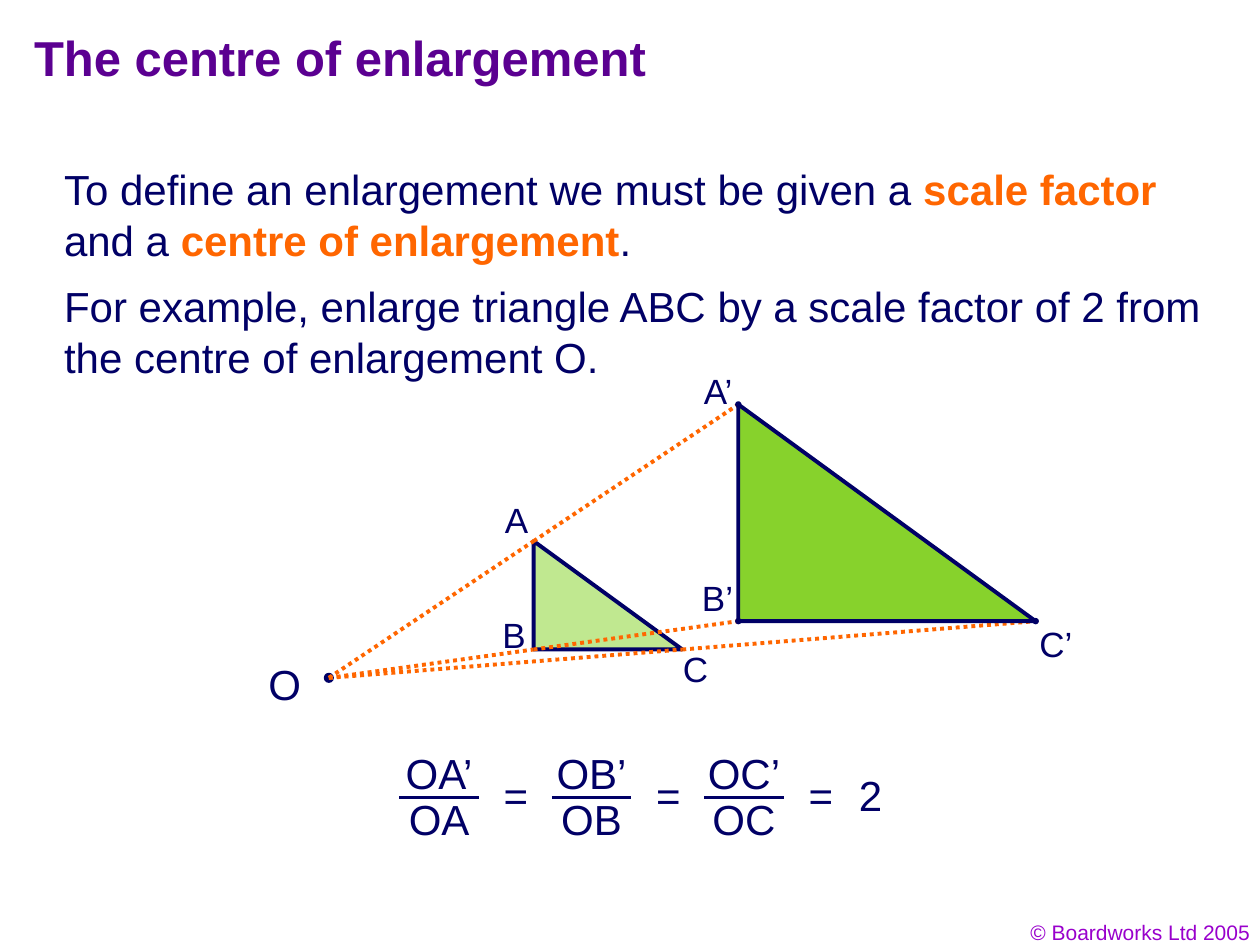
from dataclasses import dataclass

from lxml import etree
from pptx import Presentation
from pptx import util as u
from pptx.dml.color import RGBColor
from pptx.enum import dml, shapes, text
from pptx.oxml.ns import qn

COLOURS = {
    "title": "5B0091", "text": "010066", "outline": "000066", "accent": "FF6600",
    "object": "C0E890", "image": "87D22C", "footer": "9900CC",
}
FONT = "Arial"
COLUMNS, ROWS = 100, 75
SCALE_FACTOR = 2

presentation = Presentation()
presentation.slide_width, presentation.slide_height = u.Inches(10), u.Inches(7.5)
slide = presentation.slides.add_slide(presentation.slide_layouts[5])


@dataclass
class Point:
    """A place on the grid, in columns and rows."""
    x: float
    y: float


@dataclass
class Vertex:
    name: str
    place: Point
    label: Point  # centre of the name
    image_label: Point  # centre of the primed name


def column(count: float) -> int:
    return round(presentation.slide_width * count / COLUMNS)


def row(count: float) -> int:
    return round(presentation.slide_height * count / ROWS)


def colour(name: str) -> RGBColor:
    return RGBColor.from_string(COLOURS[name])


def format_run(run, size: float, name: str, bold: bool = False) -> None:
    run.font.name, run.font.size, run.font.bold = FONT, u.Pt(size), bold
    run.font.color.rgb = colour(name)


def add_text(left: float, top: float, width: float, height: float,
             parts: list[str], size: float, name: str = "text",
             align=text.PP_ALIGN.LEFT, wrap: bool = True) -> None:
    """Add a text box; every second part is bold in the accent colour."""
    box = slide.shapes.add_textbox(column(left), row(top), column(width), row(height))
    box.text_frame.word_wrap = wrap
    paragraph = box.text_frame.paragraphs[0]
    paragraph.alignment = align
    for index, part in enumerate(parts):
        run = paragraph.add_run()
        run.text = part
        strong = index % 2 == 1
        format_run(run, size, "accent" if strong else name, strong)


def add_label(wording: str, centre: Point, size: float = 24) -> None:
    width, height = 10, 5 if size == 24 else 4.4
    add_text(centre.x - width / 2, centre.y - height / 2, width, height,
             [wording], size, align=text.PP_ALIGN.CENTER, wrap=False)


def add_line(start: Point, end: Point, name: str, width: float, dash=None) -> None:
    line = slide.shapes.add_connector(
        shapes.MSO_CONNECTOR.STRAIGHT,
        column(start.x), row(start.y), column(end.x), row(end.y))
    line.line.color.rgb, line.line.width = colour(name), u.Pt(width)
    if dash:
        line.line.dash_style = dash
    etree.SubElement(line._element.spPr, qn("a:effectLst"))


def add_figure(kind, left: float, top: float, width: float, height: float,
               fill: str, line_width: float) -> None:
    figure = slide.shapes.add_shape(
        kind, column(left), row(top), column(width), row(height))
    figure.shadow.inherit = False
    figure.fill.solid()
    figure.fill.fore_color.rgb = colour(fill)
    figure.line.color.rgb, figure.line.width = colour("outline"), u.Pt(line_width)


def add_triangle(a: Point, b: Point, c: Point, fill: str) -> None:
    add_figure(shapes.MSO_SHAPE.RIGHT_TRIANGLE, a.x, a.y, c.x - b.x, b.y - a.y, fill, 2.25)


def add_dot(centre: Point, size: float) -> None:
    add_figure(shapes.MSO_SHAPE.OVAL, centre.x - size / 2, centre.y - size / 2,
               size, size, "outline", 0.75)


def add_fraction(top: str, bottom: str, centre: Point) -> None:
    add_label(top, Point(centre.x, centre.y - 2))
    add_label(bottom, Point(centre.x, centre.y + 1.7))
    add_line(Point(centre.x - 3.15, centre.y), Point(centre.x + 3.15, centre.y), "outline", 1.5)


def enlarge(point: Point, centre: Point) -> Point:
    return Point(centre.x + SCALE_FACTOR * (point.x - centre.x),
                 centre.y + SCALE_FACTOR * (point.y - centre.y))


# Title
title = slide.shapes.title
title.left, title.top, title.width, title.height = column(1.7), row(1.7), column(85), row(6.7)
title.text_frame.text = "The centre of enlargement"
title.text_frame.vertical_anchor = text.MSO_ANCHOR.TOP
title.text_frame.paragraphs[0].alignment = text.PP_ALIGN.LEFT
format_run(title.text_frame.paragraphs[0].runs[0], 28, "title", True)

# Explanation and footer
add_text(4.1, 12.5, 93.1, 9, [
    "To define an enlargement we must be given a ", "scale factor",
    " and a ", "centre of enlargement", "."], 24)
add_text(4.1, 21.8, 93.1, 9, [
    "For example, enlarge triangle ABC by a scale factor of 2 "
    "from the centre of enlargement O."], 24)
add_text(76.9, 72.5, 23.3, 3, ["© Boardworks Ltd 2005"], 12, "footer",
         text.PP_ALIGN.RIGHT)

# Triangle, its enlargement and the rays from O
origin = Point(26.1, 53.8)
vertices = [
    Vertex("A", Point(42.35, 42.95), Point(41, 41.3), Point(57, 31)),
    Vertex("B", Point(42.35, 51.55), Point(40.8, 50.4), Point(56.95, 47.5)),
    Vertex("C", Point(54.15, 51.55), Point(55.2, 53.1), Point(83.8, 51.1)),
]
places = [vertex.place for vertex in vertices]
images = [enlarge(place, origin) for place in places]

add_triangle(*places, "object")
add_dot(origin, 0.7)
add_label("O", Point(22.6, 54.3))
for place, image in zip(places, images):
    add_line(origin, place, "accent", 2.25, dml.MSO_LINE.ROUND_DOT)
    add_line(place, image, "accent", 2.25, dml.MSO_LINE.ROUND_DOT)
add_triangle(*images, "image")
for vertex, image in zip(vertices, images):
    add_dot(image, 0.4)
    add_label(vertex.name, vertex.label, 20)
    add_label(f"{vertex.name}’", vertex.image_label, 20)

# Equal ratios
for index, vertex in enumerate(vertices):
    centre = Point(34.85 + 12.1 * index, 63.3)
    add_fraction(f"O{vertex.name}’", f"O{vertex.name}", centre)
    add_label("=", Point(centre.x + 6.1, 63.1))
add_label("2", Point(69.1, 63.1))

presentation.save("out.pptx")
